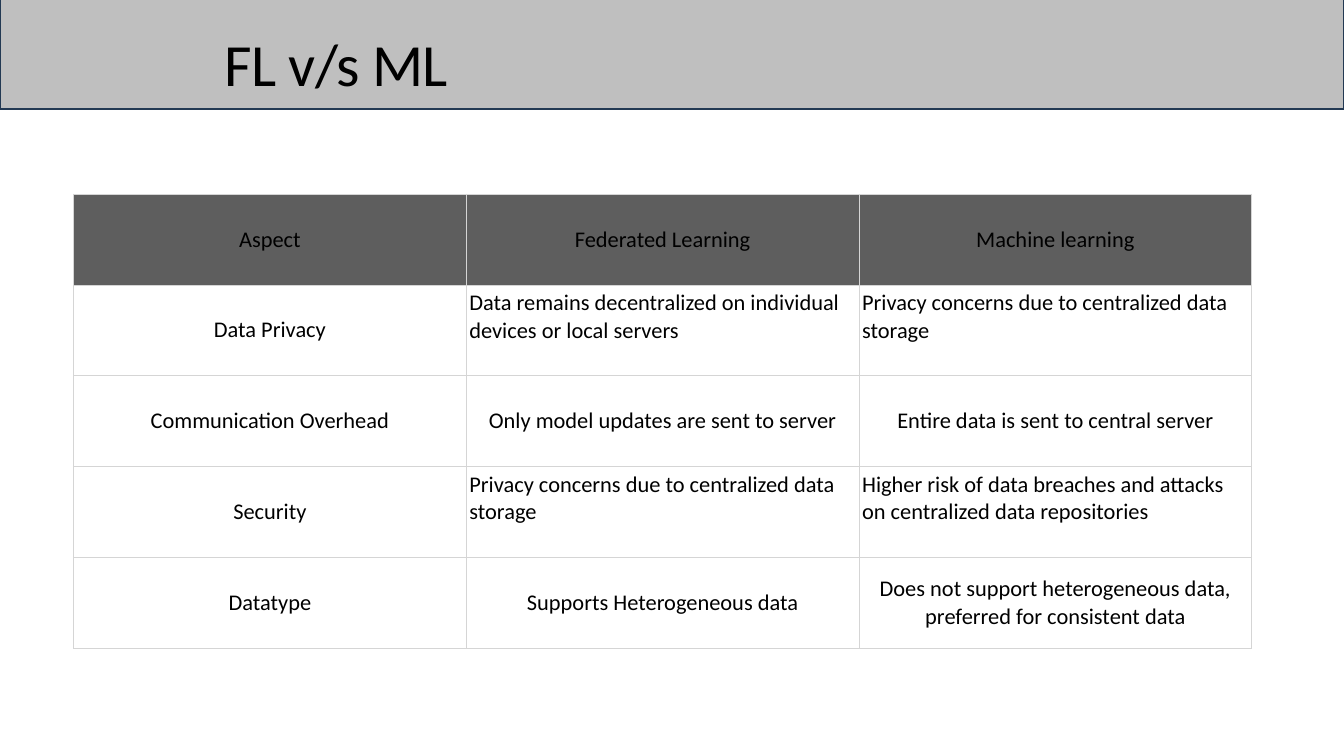
from dataclasses import dataclass

from lxml import etree
from pptx import Presentation
from pptx.dml.color import RGBColor
from pptx.enum import shapes, text
from pptx.oxml import ns
from pptx.util import Inches, Pt


@dataclass(frozen=True)
class Theme:
    font: str = "Calibri"
    ink: str = "000000"
    band: str = "BFBFBF"
    band_line: str = "233953"
    header: str = "5E5E5E"
    grid: str = "D5D5D5"
    title_size: float = 85.5
    cell_size: float = 32


THEME = Theme()

HEADINGS = ("Aspect", "Federated Learning", "Machine learning")
COMPARISON = (
    ("Data Privacy",
     "Data remains decentralized on individual devices or local servers",
     "Privacy concerns due to centralized data storage"),
    ("Communication Overhead",
     "Only model updates are sent to server",
     "Entire data is sent to central server"),
    ("Security",
     "Privacy concerns due to centralized data storage",
     "Higher risk of data breaches and attacks on centralized data repositories"),
    ("Datatype",
     "Supports Heterogeneous data",
     "Does not support heterogeneous data, preferred for consistent data"),
)
# Aspects whose descriptions start at the top left of their cells
TOP_LEFT_ASPECTS = {"Data Privacy", "Security"}

CENTERED = {
    "vertical_anchor": text.MSO_ANCHOR.MIDDLE,
    "margin_left": Inches(0.06), "margin_right": Inches(0.06),
    "margin_top": Inches(0.06), "margin_bottom": Inches(0.06),
}
TOP_LEFT = CENTERED | {
    "vertical_anchor": text.MSO_ANCHOR.TOP,
    "margin_top": Inches(0.09),
}


def apply_format(target, values):
    for name, value in values.items():
        setattr(target, name, value)


def write_text(frame, words, size, align):
    paragraph = frame.paragraphs[0]
    paragraph.alignment = align
    run = paragraph.add_run()
    run.text = words
    apply_format(run.font, {"name": THEME.font, "size": Pt(size)})
    run.font.color.rgb = RGBColor.from_string(THEME.ink)
    return run


def add_borders(cell):
    properties = cell._tc.get_or_add_tcPr()
    for position, side in enumerate(("lnL", "lnR", "lnT", "lnB")):
        line = etree.Element(ns.qn(f"a:{side}"), w=str(Pt(1)))
        fill = etree.SubElement(line, ns.qn("a:solidFill"))
        etree.SubElement(fill, ns.qn("a:srgbClr"), val=THEME.grid)
        properties.insert(position, line)


def add_title_band(slide, left, top, width, height):
    # Grey band
    band = slide.shapes.add_shape(
        shapes.MSO_SHAPE.RECTANGLE, left, top, width, height)
    band.shadow.inherit = False
    band.fill.solid()
    band.fill.fore_color.rgb = RGBColor.from_string(THEME.band)
    band.line.color.rgb = RGBColor.from_string(THEME.band_line)
    band.line.width = Pt(2)

    # Title
    title = slide.shapes.add_textbox(
        left + Inches(0.67), top + Inches(0.44), Inches(12), Inches(1.67))
    apply_format(title.text_frame, {
        "word_wrap": True, "vertical_anchor": text.MSO_ANCHOR.MIDDLE})
    run = write_text(title.text_frame, "FL v/s ML", THEME.title_size,
                     text.PP_ALIGN.CENTER)
    run.font._element.set("spc", "-90")


def add_comparison(slide, left, top, width, height):
    rows = (HEADINGS, *COMPARISON)
    table = slide.shapes.add_table(
        len(rows), len(HEADINGS), left, top, width, height).table
    apply_format(table, {"first_row": False, "horz_banding": False})

    for row_index, row in enumerate(rows):
        for column_index, words in enumerate(row):
            cell = table.cell(row_index, column_index)
            top_left = column_index > 0 and row[0] in TOP_LEFT_ASPECTS
            apply_format(cell, TOP_LEFT if top_left else CENTERED)
            align = text.PP_ALIGN.LEFT if top_left else text.PP_ALIGN.CENTER
            write_text(cell.text_frame, words, THEME.cell_size, align)
            if row_index == 0:
                cell.fill.solid()
                cell.fill.fore_color.rgb = RGBColor.from_string(THEME.header)
            else:
                cell.fill.background()
            add_borders(cell)


def main():
    deck = Presentation()
    apply_format(deck, {"slide_width": Inches(26.67),
                        "slide_height": Inches(15)})
    slide = deck.slides.add_slide(deck.slide_layouts[6])
    add_title_band(slide, Inches(0), Inches(-0.04), deck.slide_width,
                   Inches(2.2))
    add_comparison(slide, Inches(1.46), Inches(3.85), Inches(23.38),
                   Inches(9.01))
    deck.save("out.pptx")


if __name__ == "__main__":
    main()
